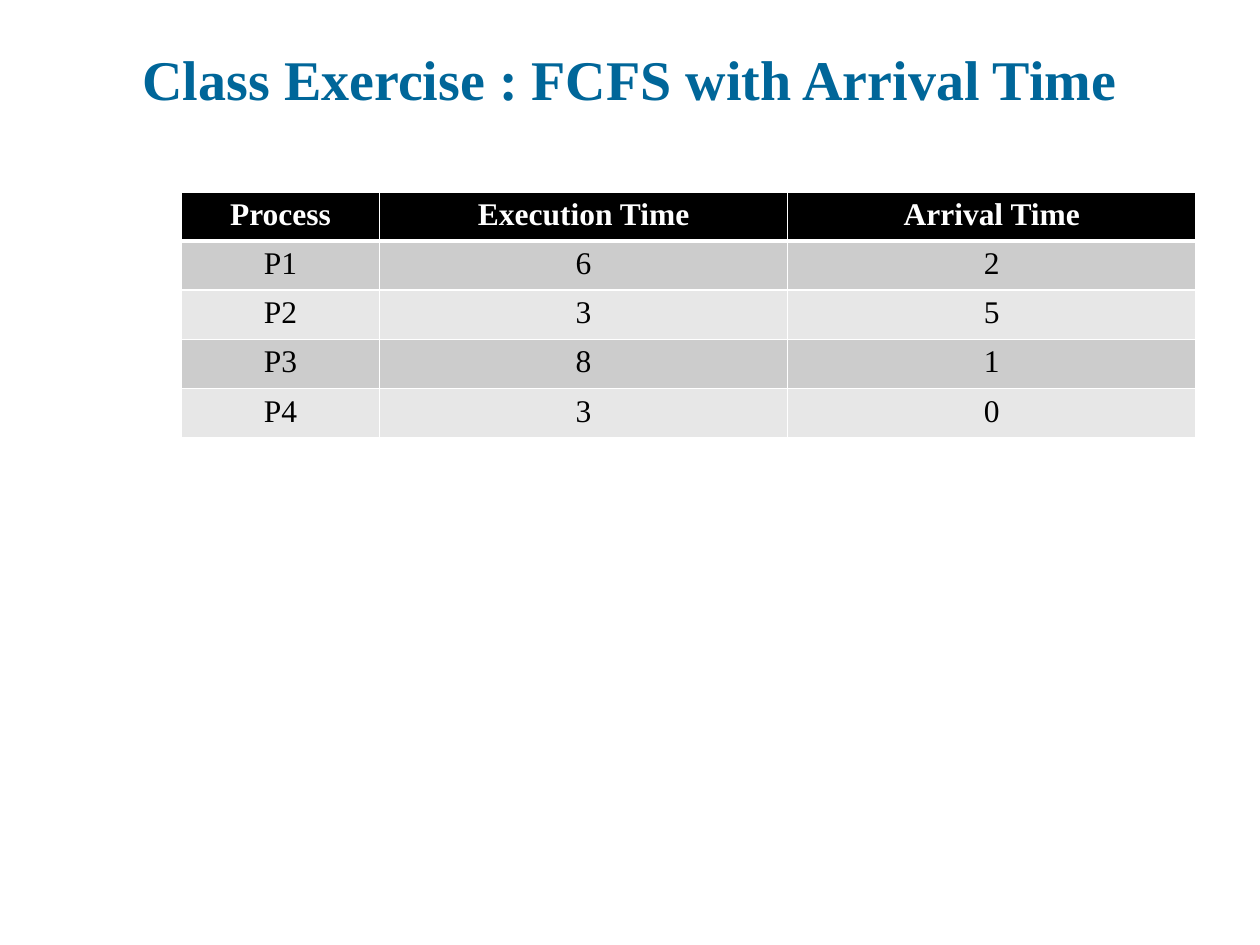
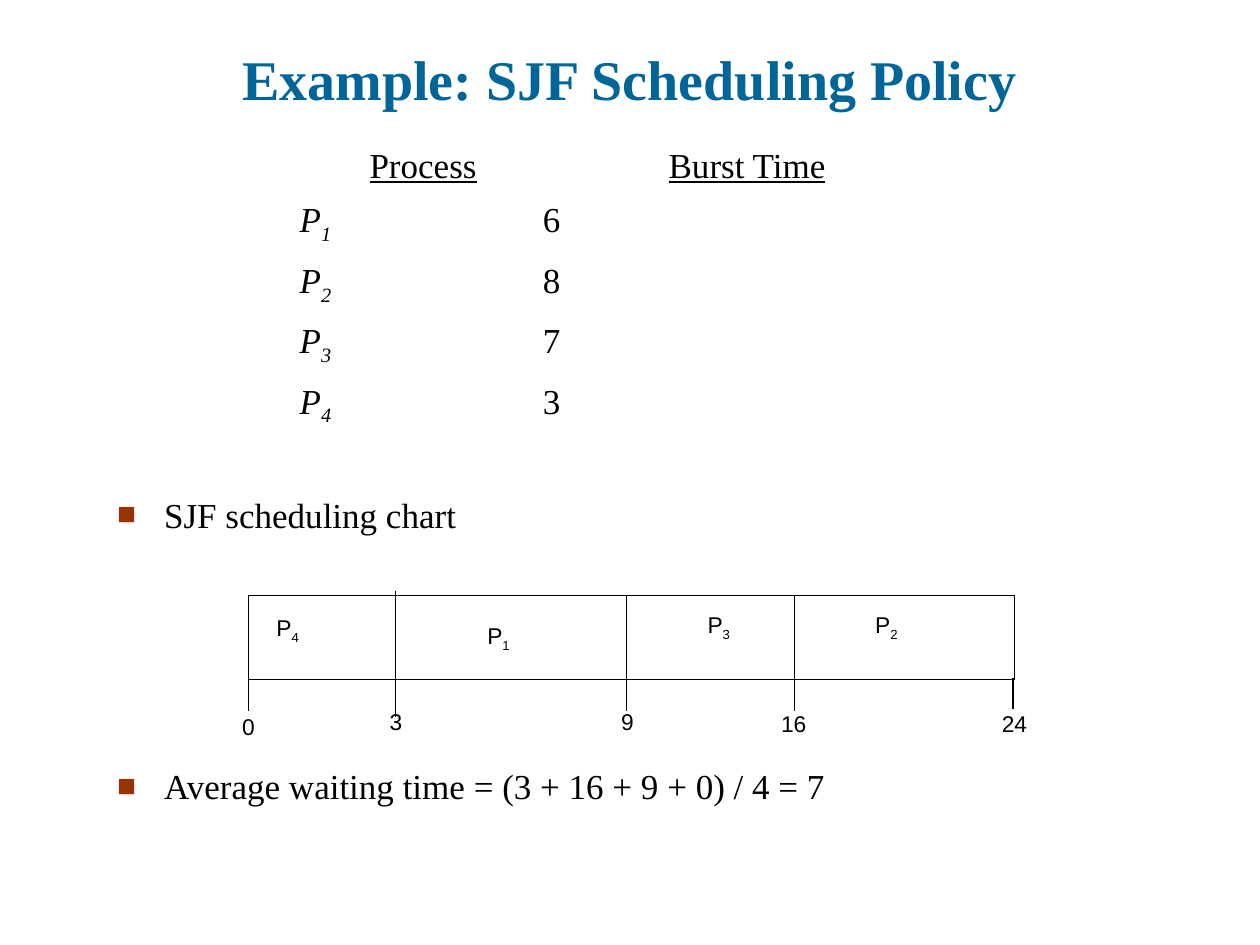
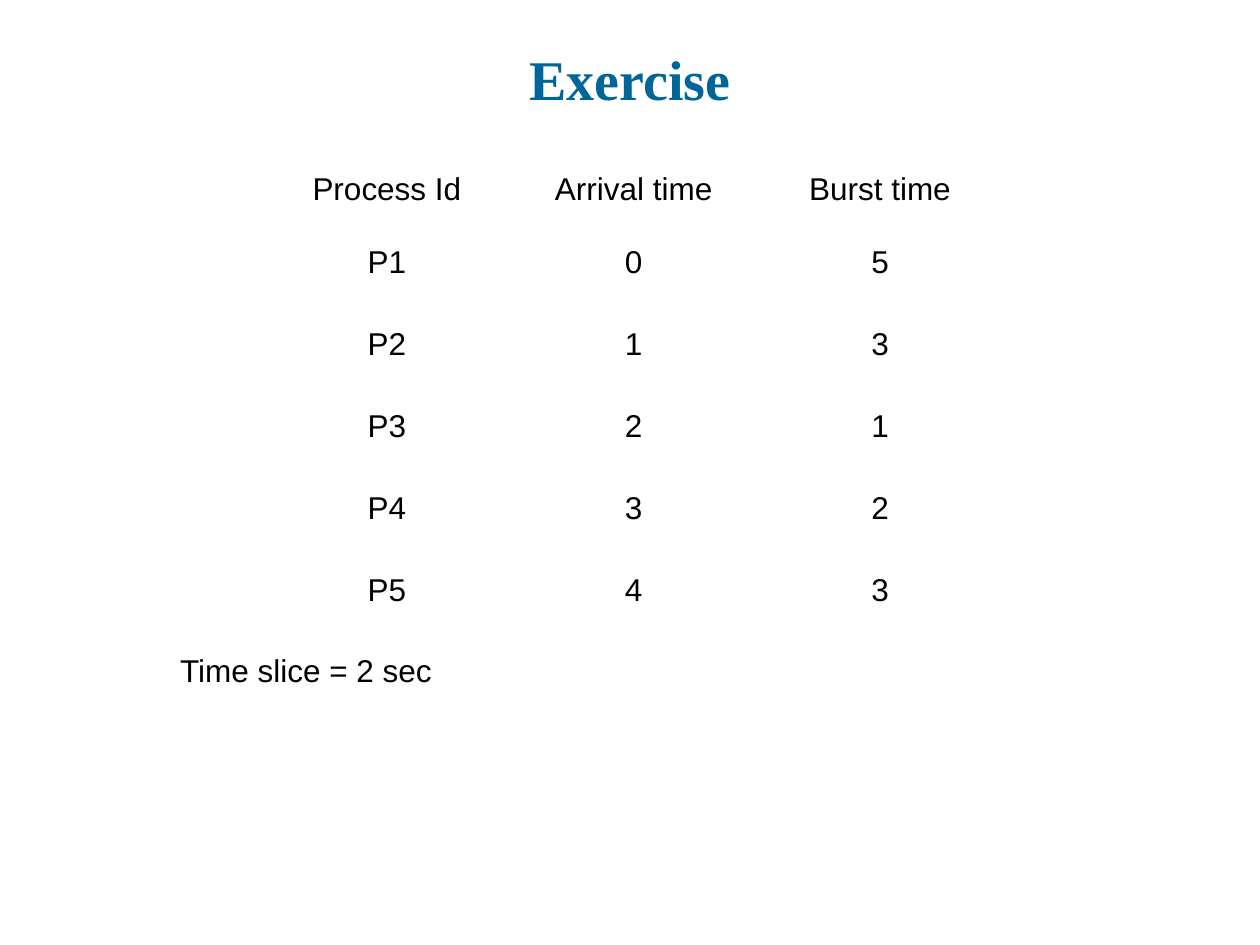
from dataclasses import dataclass
from typing import NamedTuple

from lxml import etree
from pptx import Presentation
from pptx.dml.color import RGBColor
from pptx.enum.shapes import MSO_CONNECTOR, MSO_SHAPE
from pptx.enum.text import MSO_ANCHOR, PP_ALIGN
from pptx.oxml.ns import qn
from pptx.util import Cm, Pt

STRAIGHT = MSO_CONNECTOR.STRAIGHT
RECTANGLE = MSO_SHAPE.RECTANGLE
TOP, MIDDLE, BOTTOM = MSO_ANCHOR.TOP, MSO_ANCHOR.MIDDLE, MSO_ANCHOR.BOTTOM
LEFT, CENTER = PP_ALIGN.LEFT, PP_ALIGN.CENTER

BLUE = RGBColor(0x00, 0x66, 0x99)
BLACK = RGBColor(0x00, 0x00, 0x00)
WHITE = RGBColor(0xFF, 0xFF, 0xFF)
RUST = RGBColor(0x99, 0x33, 0x00)
DARK_BAND = RGBColor(0xCC, 0xCC, 0xCC)
LIGHT_BAND = RGBColor(0xE7, 0xE7, 0xE7)

SERIF = "Times New Roman"
SANS = "Arial"
PLAIN_TABLE_STYLE = "{2D5ABB26-0587-4C30-8999-92F81FD0307C}"


class Box(NamedTuple):
    left: float
    top: float
    width: float
    height: float


class TabStop(NamedTuple):
    position: float
    alignment: str


class Label(NamedTuple):
    text: str
    center: float
    top: float
    subscript: str = ""


class Tick(NamedTuple):
    x: float
    top: float
    bottom: float


@dataclass(frozen=True)
class TextStyle:
    font: str
    size: float
    color: RGBColor = BLACK
    bold: bool = False
    align: PP_ALIGN = LEFT
    anchor: MSO_ANCHOR = TOP


@dataclass(frozen=True)
class ProcessTable:
    left: float
    top: float
    columns: list[float]
    row_heights: list[float]
    rows: list[list[str]]
    font: str
    banded: bool
    margin: float


TITLE = TextStyle(SERIF, 32, BLUE, True, CENTER, BOTTOM)
BODY = TextStyle(SERIF, 20)
CHART_LABEL = TextStyle(SANS, 13, align=CENTER, anchor=MIDDLE)
NOTE = TextStyle(SANS, 18)

TITLE_BOX = Box(1.27, 0.78, 22.86, 1.6)
BODY_BOX = Box(2.11, 2.76, 22.99, 13.26)
CHART_BOX = Box(5.01, 12, 15.44, 1.7)
LABEL_WIDTH, LABEL_HEIGHT = 1.4, 0.81

HEADER_TABS = [TabStop(6.17, "ctr"), TabStop(12.7, "ctr")]
ROW_TABS = [TabStop(3.68, "l"), TabStop(8.76, "ctr")]
BULLET_INDENT = 0.95

BURST_TIMES = {"1": "6", "2": "8", "3": "7", "4": "3"}

BANDED_ROWS = [0.99] * 5
EXECUTION_TABLE = ProcessTable(
    3.66, 3.87, [3.99, 8.23], BANDED_ROWS,
    [["Process", "Execution Time"], ["P1", "6"], ["P2", "3"], ["P3", "8"], ["P4", "3"]],
    SERIF, True, 0.11,
)
ARRIVAL_TABLE = ProcessTable(
    15.88, 3.87, [8.23], BANDED_ROWS,
    [["Arrival Time"], ["2"], ["5"], ["1"], ["0"]],
    SERIF, True, 0.11,
)
ROUND_ROBIN_TABLE = ProcessTable(
    5.3, 3.17, [5, 4.95, 4.98], [1.3] + [1.65] * 5,
    [
        ["Process Id", "Arrival time", "Burst time"],
        ["P1", "0", "5"],
        ["P2", "1", "3"],
        ["P3", "2", "1"],
        ["P4", "3", "2"],
        ["P5", "4", "3"],
    ],
    SANS, False, 0.2,
)

CHART_LABELS = [
    Label("P", 5.8, 12.28, "4"),
    Label("P", 10.05, 12.45, "1"),
    Label("P", 14.49, 12.22, "3"),
    Label("P", 17.87, 12.22, "2"),
    Label("0", 5.01, 14.23),
    Label("3", 7.98, 14.13),
    Label("9", 12.65, 14.13),
    Label("16", 16, 14.18),
    Label("24", 20.45, 14.18),
]
CHART_BOTTOM = CHART_BOX.top + CHART_BOX.height
CHART_TICKS = [
    Tick(CHART_BOX.left, CHART_BOTTOM, 14.33),
    Tick(7.97, 11.91, 14.45),
    Tick(7.97, 13.39, 14.02),
    Tick(20.42, 13.67, 14.3),
]
for boundary in (12.63, 16.02):
    CHART_TICKS += [
        Tick(boundary, CHART_BOX.top, CHART_BOTTOM),
        Tick(boundary, CHART_BOTTOM, 14.33),
    ]


def style_paragraph(paragraph, style: TextStyle) -> None:
    paragraph.alignment = style.align
    font = paragraph.font
    font.name = style.font
    font.size = Pt(style.size)
    font.bold = style.bold
    font.color.rgb = style.color


def add_text_frame(slide, box: Box, style: TextStyle, wrap: bool = True):
    frame = slide.shapes.add_textbox(*map(Cm, box)).text_frame
    frame.word_wrap = wrap
    frame.vertical_anchor = style.anchor
    return frame


def add_text(slide, box: Box, text: str, style: TextStyle) -> None:
    paragraph = add_text_frame(slide, box, style).paragraphs[0]
    paragraph.text = text
    style_paragraph(paragraph, style)


def add_subscript(paragraph, text: str):
    run = paragraph.add_run()
    run.text = text
    run._r.get_or_add_rPr().set("baseline", "-25000")
    return run


def add_titled_slide(presentation, title: str):
    slide = presentation.slides.add_slide(presentation.slide_layouts[6])
    add_text(slide, TITLE_BOX, title, TITLE)
    return slide


def set_borders(cell, row: int) -> None:
    properties = cell._tc.get_or_add_tcPr()
    widths = {"lnL": 1, "lnR": 1, "lnT": 3 if row == 1 else 1, "lnB": 3 if row == 0 else 1}
    for position, (side, width) in enumerate(widths.items()):
        border = etree.Element(qn(f"a:{side}"), w=str(Pt(width)))
        fill = etree.SubElement(border, qn("a:solidFill"))
        etree.SubElement(fill, qn("a:srgbClr"), val=str(WHITE))
        properties.insert(position, border)


def add_process_table(slide, processes: ProcessTable) -> None:
    table = slide.shapes.add_table(
        len(processes.rows), len(processes.columns),
        Cm(processes.left), Cm(processes.top),
        Cm(sum(processes.columns)), Cm(sum(processes.row_heights)),
    ).table
    table._tbl.tblPr.find(qn("a:tableStyleId")).text = PLAIN_TABLE_STYLE
    table.horz_banding = processes.banded
    for column, width in zip(table.columns, processes.columns):
        column.width = Cm(width)
    for row, height in zip(table.rows, processes.row_heights):
        row.height = Cm(height)
    for row, values in enumerate(processes.rows):
        header = processes.banded and row == 0
        style = TextStyle(processes.font, 18, WHITE if header else BLACK, header, CENTER)
        for column, value in enumerate(values):
            cell = table.cell(row, column)
            cell.text = value
            cell.margin_top = cell.margin_bottom = Cm(processes.margin)
            style_paragraph(cell.text_frame.paragraphs[0], style)
            if processes.banded:
                cell.fill.solid()
                band = DARK_BAND if row % 2 else LIGHT_BAND
                cell.fill.fore_color.rgb = BLACK if header else band
                set_borders(cell, row)
            else:
                cell.fill.background()
                cell.vertical_anchor = MIDDLE


def set_tabs(paragraph, stops: list[TabStop]) -> None:
    tab_list = etree.SubElement(paragraph._p.get_or_add_pPr(), qn("a:tabLst"))
    for stop in stops:
        etree.SubElement(tab_list, qn("a:tab"), pos=str(Cm(stop.position)), algn=stop.alignment)


def add_bullet(frame, text: str, space_before: float) -> None:
    paragraph = frame.add_paragraph()
    paragraph.text = text
    paragraph.space_before = Pt(space_before)
    properties = paragraph._p.get_or_add_pPr()
    properties.set("marL", str(Cm(BULLET_INDENT)))
    properties.set("indent", str(-Cm(BULLET_INDENT)))
    color = etree.SubElement(properties, qn("a:buClr"))
    etree.SubElement(color, qn("a:srgbClr"), val=str(RUST))
    etree.SubElement(properties, qn("a:buSzPct"), val="90000")
    etree.SubElement(properties, qn("a:buFont"), typeface=SANS)
    etree.SubElement(properties, qn("a:buChar"), char="■")
    style_paragraph(paragraph, BODY)


def add_burst_list(frame) -> None:
    header = frame.paragraphs[0]
    set_tabs(header, HEADER_TABS)
    for heading in ("Process", "Burst Time"):
        header.add_run().text = "\t"
        run = header.add_run()
        run.text = heading
        run.font.underline = True
    style_paragraph(header, BODY)
    for number, burst_time in BURST_TIMES.items():
        paragraph = frame.add_paragraph()
        paragraph.space_before = Pt(7.25)
        set_tabs(paragraph, ROW_TABS)
        process = paragraph.add_run()
        process.text = "\tP"
        process.font.italic = True
        add_subscript(paragraph, number).font.italic = True
        paragraph.add_run().text = f"\t{burst_time}"
        style_paragraph(paragraph, BODY)


def add_chart_label(slide, label: Label) -> None:
    box = Box(label.center - LABEL_WIDTH / 2, label.top, LABEL_WIDTH, LABEL_HEIGHT)
    paragraph = add_text_frame(slide, box, CHART_LABEL, wrap=False).paragraphs[0]
    paragraph.add_run().text = label.text
    if label.subscript:
        add_subscript(paragraph, label.subscript)
    style_paragraph(paragraph, CHART_LABEL)


def add_tick(slide, tick: Tick) -> None:
    line = slide.shapes.add_connector(
        STRAIGHT, Cm(tick.x), Cm(tick.top), Cm(tick.x), Cm(tick.bottom)
    )
    line.line.color.rgb = BLACK
    line.line.width = Pt(0.75)
    etree.SubElement(line._element.spPr, qn("a:effectLst"))


def add_scheduling_chart(slide) -> None:
    bar = slide.shapes.add_shape(RECTANGLE, *map(Cm, CHART_BOX))
    bar.shadow.inherit = False
    bar.fill.solid()
    bar.fill.fore_color.rgb = WHITE
    bar.line.color.rgb = BLACK
    bar.line.width = Pt(0.75)
    for tick in CHART_TICKS:
        add_tick(slide, tick)
    for label in CHART_LABELS:
        add_chart_label(slide, label)


def build_fcfs_slide(presentation) -> None:
    slide = add_titled_slide(presentation, "Class Exercise : FCFS with Arrival Time")
    for table in (EXECUTION_TABLE, ARRIVAL_TABLE):
        add_process_table(slide, table)


def build_sjf_slide(presentation) -> None:
    slide = add_titled_slide(presentation, "Example: SJF Scheduling Policy")
    frame = add_text_frame(slide, BODY_BOX, BODY)
    add_burst_list(frame)
    add_bullet(frame, "SJF scheduling chart", 37.75)
    add_bullet(frame, "Average waiting time = (3 + 16 + 9 + 0) / 4 = 7", 131)
    add_scheduling_chart(slide)


def build_round_robin_slide(presentation) -> None:
    slide = add_titled_slide(presentation, "Exercise")
    add_process_table(slide, ROUND_ROBIN_TABLE)
    add_text(slide, Box(3.38, 13, 6.55, 1.02), "Time slice = 2 sec", NOTE)


def main() -> None:
    presentation = Presentation()
    presentation.slide_width = Cm(25.4)
    presentation.slide_height = Cm(19.05)
    build_fcfs_slide(presentation)
    build_sjf_slide(presentation)
    build_round_robin_slide(presentation)
    presentation.save("out.pptx")


if __name__ == "__main__":
    main()
